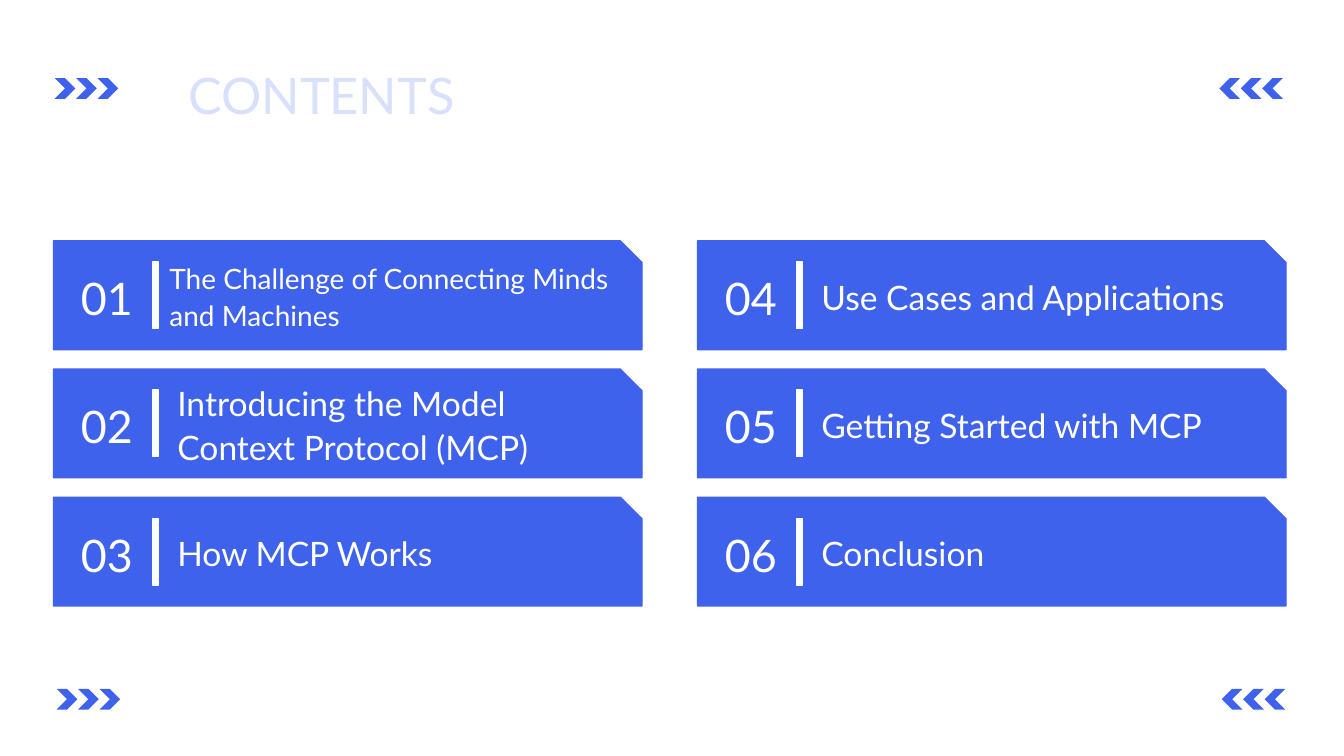
from pptx import Presentation
from pptx.dml.color import RGBColor
from pptx.enum import shapes, text
from pptx.util import Cm, Pt

BLUE, WHITE, PALE = "3F62ED", "FFFFFF", "D9E0FB"
CHEVRON, CHEVRON_STEP = 0.52, 0.54
CARD_W, CARD_H = 14.83, 2.74
COL_STEP, ROW_STEP = 16.23, 3.23
TOPICS = [
    "The Challenge of Connecting Minds and Machines",
    "Introducing the Model Context Protocol (MCP)",
    "How MCP Works",
    "Use Cases and Applications",
    "Getting Started with MCP",
    "Conclusion",
]


def rgb(color):
    return RGBColor.from_string(color)


def paint(sp, color, outlined=False):
    sp.shadow.inherit = False
    sp.fill.solid()
    sp.fill.fore_color.rgb = rgb(color)
    if outlined:
        sp.line.color.rgb = rgb(color)
        sp.line.width = Pt(1)
    else:
        sp.line.fill.background()


def add_block(slide, kind, x, y, w, h, color, outlined=False):
    sp = slide.shapes.add_shape(kind, Cm(x), Cm(y), Cm(w), Cm(h))
    paint(sp, color, outlined)
    return sp


def add_text(slide, words, x, y, w, h, size=24, color=WHITE,
             align=text.PP_ALIGN.LEFT, spacing=1.1):
    tf = slide.shapes.add_textbox(Cm(x), Cm(y), Cm(w), Cm(h)).text_frame
    tf.word_wrap = True
    tf.vertical_anchor = text.MSO_ANCHOR.MIDDLE
    p = tf.paragraphs[0]
    p.alignment = align
    p.line_spacing = spacing
    r = p.add_run()
    r.text = words
    r.font.name = "Lato"
    r.font.size = Pt(size)
    r.font.color.rgb = rgb(color)


def add_chevrons(slide, x, y):
    """Three separate chevrons pointing right."""
    for i in range(3):
        add_block(slide, shapes.MSO_SHAPE.CHEVRON, x + i * CHEVRON_STEP, y,
                  CHEVRON, CHEVRON, BLUE)


def add_joined_chevrons(slide, x, y, to_left=False):
    """Three chevrons drawn as one outline."""
    half = CHEVRON / 2
    outline = [(0, 0), (half, 0), (CHEVRON, half), (half, CHEVRON),
               (0, CHEVRON), (half, half)]
    if to_left:
        outline = [(CHEVRON - dx, dy) for dx, dy in outline]
    builder = None
    for i in range(3):
        points = [(Cm(x + i * CHEVRON_STEP + dx), Cm(y + dy))
                  for dx, dy in outline]
        if builder is None:
            builder = slide.shapes.build_freeform(*points[0])
        else:
            builder.move_to(*points[0])
        builder.add_line_segments(points[1:], close=True)
    paint(builder.convert_to_shape(), BLUE)


def add_header(slide, x, y):
    add_chevrons(slide, x, y)
    add_text(slide, "CONTENTS", x + 3.12, y - 0.58, 12, 2, size=36,
             color=PALE, spacing=1)
    add_joined_chevrons(slide, x + 29.35, y, to_left=True)


def add_footer(slide, x, y):
    add_joined_chevrons(slide, x, y)
    add_joined_chevrons(slide, x + 29.36, y, to_left=True)


def add_card(slide, number, topic, x, y, w, h):
    card = add_block(slide, shapes.MSO_SHAPE.SNIP_1_RECTANGLE, x, y, w, h,
                     BLUE, outlined=True)
    card.adjustments[0] = 0.2
    add_text(slide, f"{number:02d}", x + 0.24, y + 0.53, 2.21, 1.68, size=32,
             align=text.PP_ALIGN.CENTER)
    add_block(slide, shapes.MSO_SHAPE.RECTANGLE, x + 2.49, y + 0.53,
              0.15, 1.68, WHITE, outlined=True)
    if number == 1:
        add_text(slide, topic, x + 2.67, y + 0.08, 12.29, 2.57, size=20)
    else:
        add_text(slide, topic, x + 2.87, y + 0.08, 11.71, 2.57)


def add_contents(slide, x, y):
    for i, topic in enumerate(TOPICS):
        col, row = divmod(i, 3)
        add_card(slide, i + 1, topic, x + col * COL_STEP, y + row * ROW_STEP,
                 CARD_W, CARD_H)


def main():
    prs = Presentation()
    prs.slide_width, prs.slide_height = Cm(33.87), Cm(19.05)
    slide = prs.slides.add_slide(prs.slide_layouts[6])
    add_header(slide, 1.38, 1.97)
    add_contents(slide, 1.35, 6.07)
    add_footer(slide, 1.43, 17.36)
    prs.save("out.pptx")


if __name__ == "__main__":
    main()
